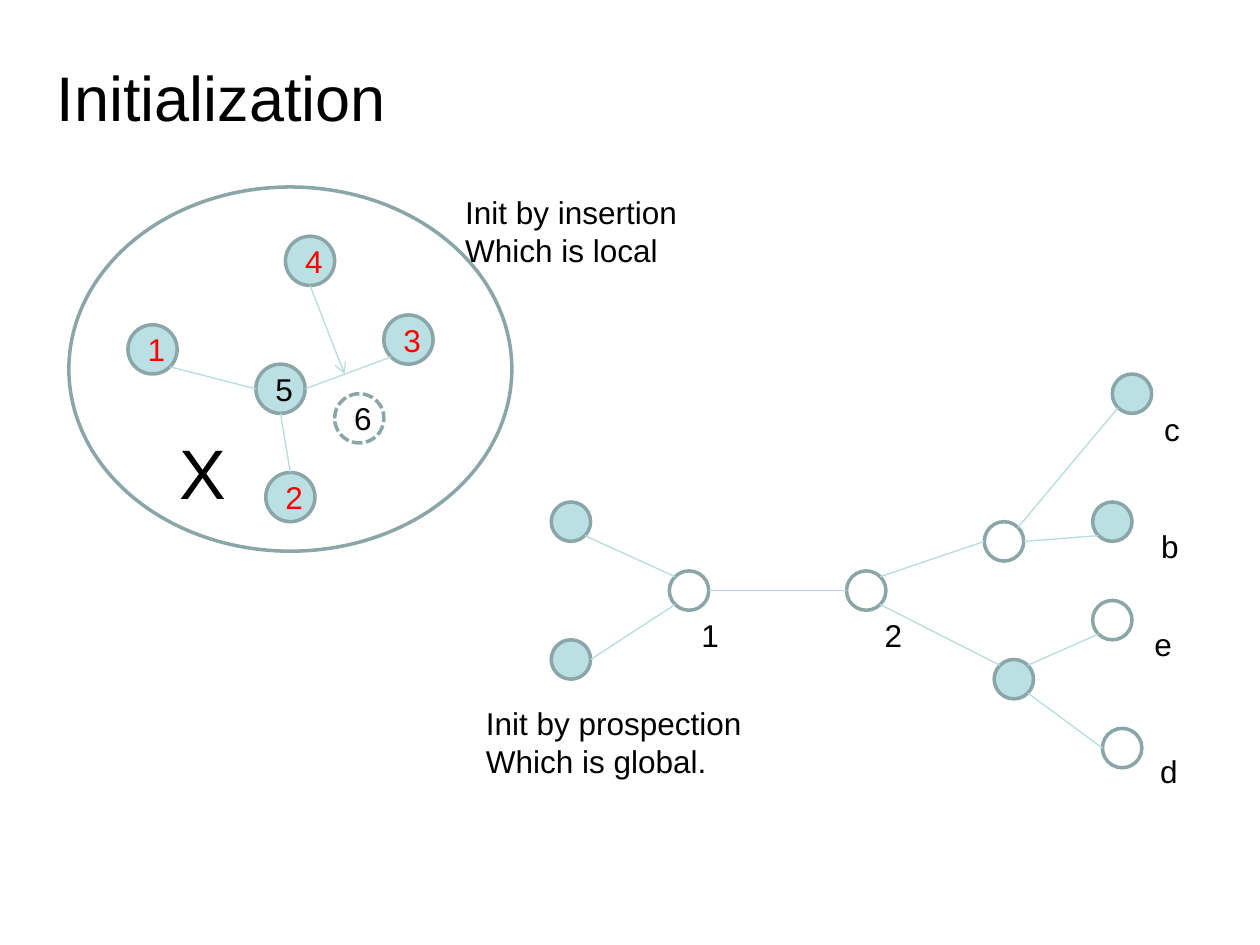
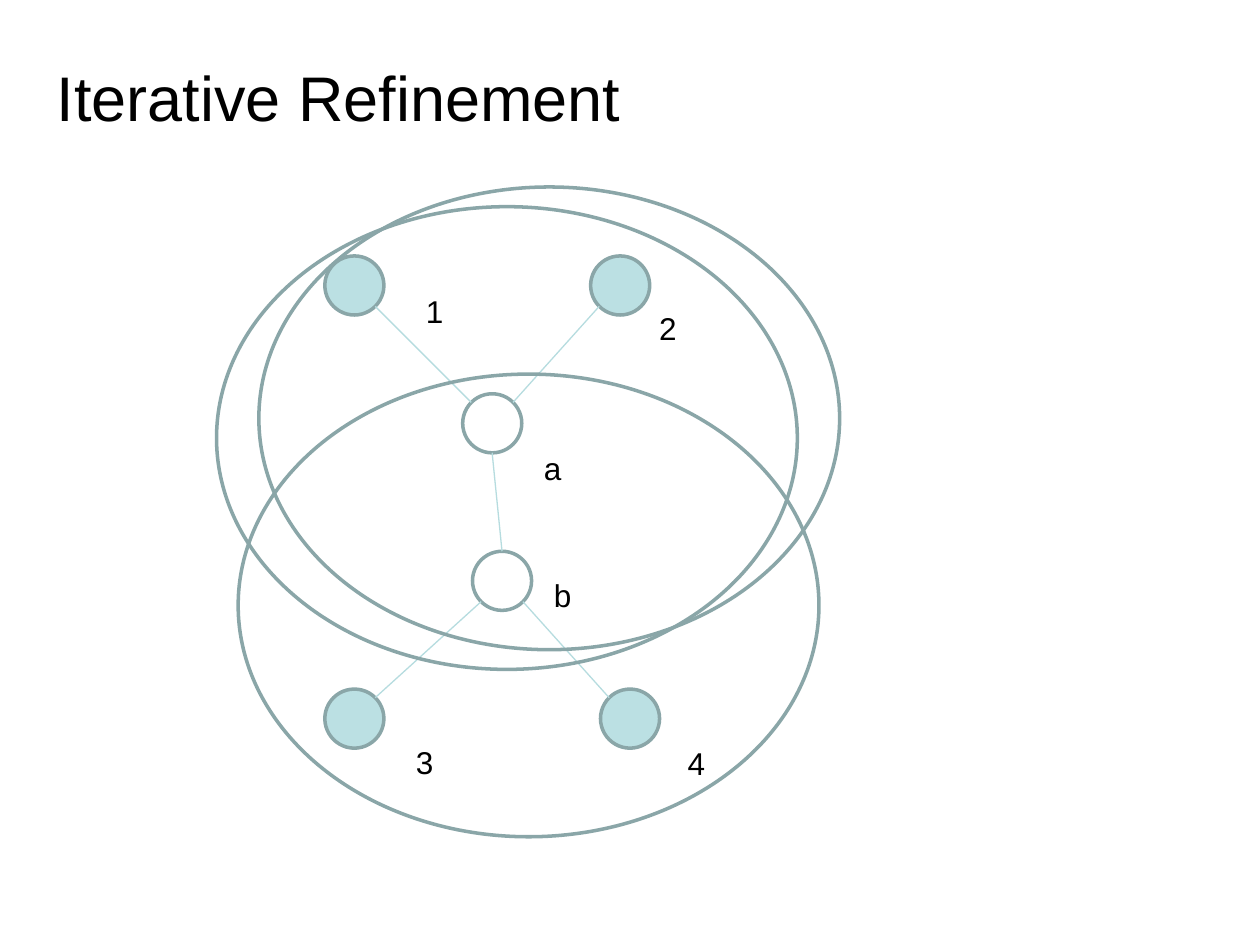
"""Build two slides of node graphs on a grid of 128 columns and 96 rows."""
from math import cos, radians, sin
from lxml import etree
from pptx import Presentation, util as u
from pptx.dml.color import RGBColor
from pptx.enum import dml, shapes, text
from pptx.oxml import ns

HUES = {"ink": "000000", "node": "BBE0E3", "rim": "8AA6A8", "edge": "B6DCDF", "mark": "FF0000"}
TOP, TL, LEFT, BL, BASE, BR, RIGHT, TR = range(8)

deck = Presentation()
deck.slide_width, deck.slide_height = u.Inches(10), u.Inches(7.5)
unit = deck.slide_width / 128


def write(para, words, size=18, hue="ink"):
    """Add one styled run to a paragraph."""
    run = para.add_run()
    run.text = words
    run.font.name, run.font.size = "Arial", u.Pt(size)
    run.font.color.rgb = RGBColor.from_string(HUES[hue])


def ring(slide, x, y, wide, high, full=False):
    """Draw an ellipse placed in grid units."""
    oval = slide.shapes.add_shape(shapes.MSO_SHAPE.OVAL, *[int(n * unit) for n in (x, y, wide, high)])
    oval.shadow.inherit = False
    if full:
        oval.fill.solid()
        oval.fill.fore_color.rgb = RGBColor.from_string(HUES["node"])
    else:
        oval.fill.background()
    oval.line.color.rgb = RGBColor.from_string(HUES["rim"])
    oval.line.width = u.Pt(2)
    return oval


# name: column, row, size, filled
pages = [
    {
        "title": "Initialization",
        "nodes": {
            "1": (13, 33, 5, True), "2": (27, 48, 5, True), "3": (39, 32, 5, True),
            "4": (29, 24, 5, True), "5": (26, 37, 5, True), "6": (34, 40, 5, False),
            "hub1": (68, 58, 4, False), "hub2": (86, 58, 4, False),
            "leaf1": (56, 51, 4, True), "leaf2": (56, 65, 4, True),
            "fork1": (100, 53, 4, False), "fork2": (101, 67, 4, True),
            "b": (111, 51, 4, True), "c": (113, 38, 4, True),
            "d": (112, 74, 4, False), "e": (111, 61, 4, False),
        },
        "inner": {"1": "mark", "2": "mark", "3": "mark", "4": "mark", "5": "ink", "6": "ink"},
        "edges": [
            ("1", BR, "5", LEFT), ("3", BL, "5", RIGHT), ("5", BASE, "2", TOP),
            ("leaf1", BR, "hub1", TL), ("leaf2", RIGHT, "hub1", BL),
            ("hub1", RIGHT, "hub2", LEFT), ("hub2", TR, "fork1", LEFT),
            ("hub2", BR, "fork2", TL), ("fork1", TR, "c", BL), ("fork1", RIGHT, "b", BL),
            ("fork2", TR, "e", BL), ("fork2", BR, "d", LEFT),
        ],
        "arrows": [("4", BASE, 35, 38)],
        "rings": [(7, 19, 45, 37)],
        "notes": [
            (17, 43, 7.4, 40, ["X"]), (70, 62, 4.3, 18, ["1"]), (88.6, 62, 4.3, 18, ["2"]),
            (117, 41, 4.3, 18, ["c"]), (116.7, 52.9, 4.3, 18, ["b"]),
            (116, 62.9, 4.3, 18, ["e"]), (116.6, 75.8, 4.3, 18, ["d"]),
            (46, 19, 24.3, 18, ["Init by insertion", "Which is local"]),
            (48.1, 70.9, 28.8, 18, ["Init by prospection", "Which is global."]),
        ],
    },
    {
        "title": "Iterative Refinement",
        "nodes": {
            "1": (33, 26, 6, True), "2": (60, 26, 6, True), "3": (33, 70, 6, True),
            "4": (61, 70, 6, True), "a": (47, 40, 6, False), "b": (48, 56, 6, False),
        },
        "inner": {},
        "edges": [
            ("1", BR, "a", TL), ("2", BL, "a", TR), ("3", TR, "b", BL),
            ("b", BR, "4", TL), ("a", BASE, "b", TOP),
        ],
        "arrows": [],
        "rings": [(22, 21, 59, 47), (24.2, 38, 59, 47), (26.3, 19, 59, 47)],
        "notes": [
            (42, 29, 4.3, 18, ["1"]), (65.7, 30.8, 4.3, 18, ["2"]), (41, 74.9, 4.3, 18, ["3"]),
            (68.6, 75, 4.3, 18, ["4"]), (54, 45, 4.3, 18, ["a"]), (55, 57.9, 4.3, 18, ["b"]),
        ],
    },
]

for page in pages:
    slide = deck.slides.add_slide(deck.slide_layouts[5])
    title = slide.shapes.title
    title.left, title.top, title.width, title.height = [int(n * unit) for n in (4.5, 4.5, 115.2, 10.6)]
    title.text_frame.auto_size = text.MSO_AUTO_SIZE.NONE
    title.text_frame.vertical_anchor = text.MSO_ANCHOR.MIDDLE
    title.text_frame.paragraphs[0].alignment = text.PP_ALIGN.LEFT
    write(title.text_frame.paragraphs[0], page["title"], 36)

    sites = {}
    for name, (x, y, size, full) in page["nodes"].items():
        node = ring(slide, x, y, size, size, full)
        half = size / 2
        for site in range(8):
            turn = radians(90 + 45 * site)
            sites[name, site] = (x + half + half * cos(turn), y + half - half * sin(turn))
        if name in page["inner"]:
            para = node.text_frame.paragraphs[0]
            para.alignment = text.PP_ALIGN.CENTER
            write(para, name, hue=page["inner"][name])
            if not full:
                node.line.dash_style = dml.MSO_LINE.SQUARE_DOT

    lines = [(sites[a, i], sites[b, j], False) for a, i, b, j in page["edges"]]
    lines += [(sites[a, i], (x, y), True) for a, i, x, y in page["arrows"]]
    for start, end, head in lines:
        edge = slide.shapes.add_connector(
            shapes.MSO_CONNECTOR.STRAIGHT, *[int(n * unit) for n in start + end])
        edge.line.color.rgb = RGBColor.from_string(HUES["edge"])
        edge.line.width = u.Pt(0.75)
        if head:
            etree.SubElement(edge.line._get_or_add_ln(), ns.qn("a:tailEnd"), type="arrow")
        etree.SubElement(edge._element.spPr, ns.qn("a:effectLst"))

    for box in page["rings"]:
        ring(slide, *box)

    for x, y, wide, size, rows in page["notes"]:
        high = 1.3 + len(rows) * size * 0.215
        note = slide.shapes.add_textbox(*[int(n * unit) for n in (x, y, wide, high)])
        frame = note.text_frame
        frame.word_wrap = False
        for at, words in enumerate(rows):
            write(frame.add_paragraph() if at else frame.paragraphs[0], words, size)

deck.save("out.pptx")
